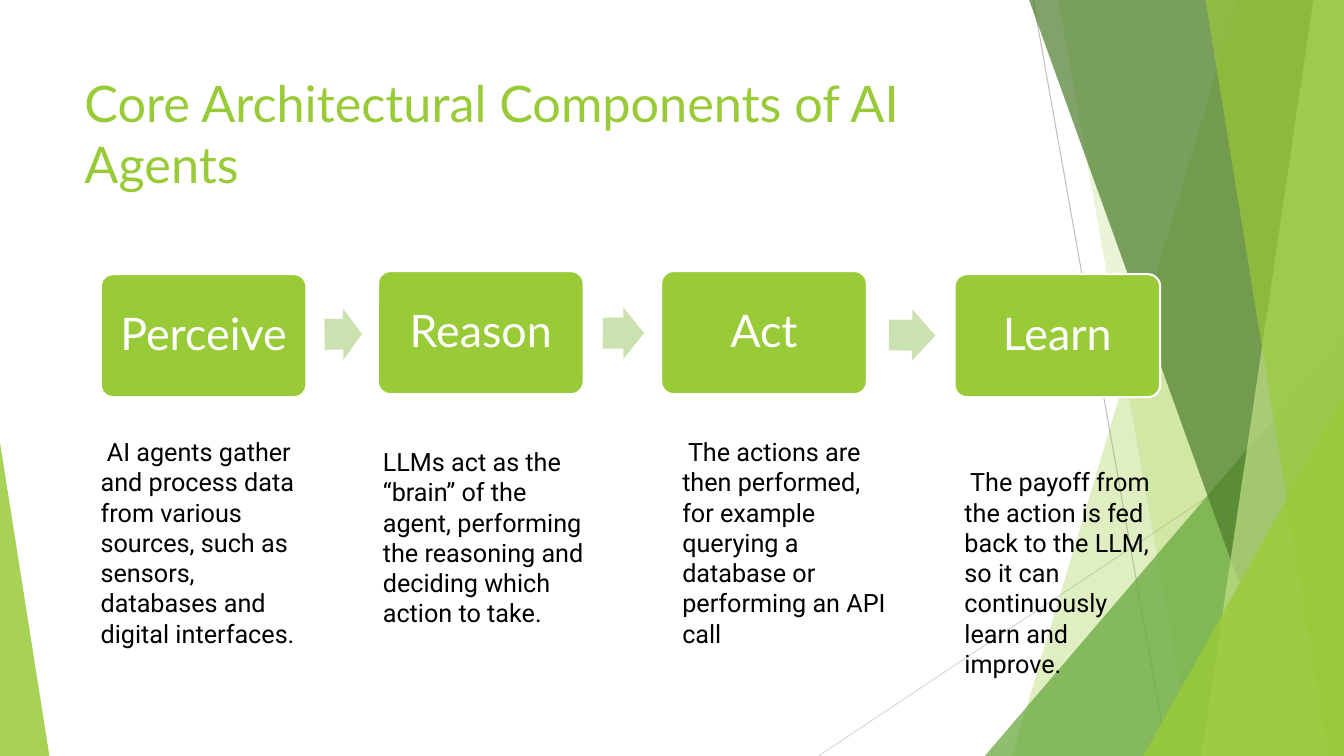
from lxml import etree
from pptx import Presentation
from pptx.dml.color import RGBColor
from pptx.enum.shapes import MSO_CONNECTOR, MSO_SHAPE
from pptx.enum.text import MSO_ANCHOR, PP_ALIGN
from pptx.oxml.ns import qn
from pptx.util import Inches, Pt

STRAIGHT = MSO_CONNECTOR.STRAIGHT
TRIANGLE, ARROW, ROUNDED = MSO_SHAPE.ISOSCELES_TRIANGLE, MSO_SHAPE.RIGHT_ARROW, MSO_SHAPE.ROUNDED_RECTANGLE
MIDDLE, TOP = MSO_ANCHOR.MIDDLE, MSO_ANCHOR.TOP
CENTER, LEFT = PP_ALIGN.CENTER, PP_ALIGN.LEFT

COLS, ROWS = 160, 90  # square cells, 12 to the inch
LIME, GREEN, FOREST, PALE, MINT = "99CB38", "63A537", "4A7C29", "C2E088", "CAE2AF"
WHITE, BLACK = "FFFFFF", "000000"


def rgb(color):
    return RGBColor.from_string(color)


def cells(*counts):
    """Turn grid counts into lengths."""
    return [Inches(n / 12) for n in counts]


class Page:
    heading_font, body_font = "Lato", "Roboto"

    def __init__(self, prs):
        self.s = prs.slides.add_slide(prs.slide_layouts[6])

    def paint(self, sp, color, alpha=100, line=None):
        sp.shadow.inherit = False
        sp.fill.solid()
        sp.fill.fore_color.rgb = rgb(color)
        if alpha < 100:
            clr = sp._element.spPr.find(qn("a:solidFill"))[0]
            etree.SubElement(clr, qn("a:alpha")).set("val", str(alpha * 1000))
        if line:
            sp.line.color.rgb = rgb(line)
            sp.line.width = Pt(1.5)
        else:
            sp.line.fill.background()

    def hairline(self, x1, y1, x2, y2, color):
        cn = self.s.shapes.add_connector(STRAIGHT, *cells(x1, y1, x2, y2))
        cn.line.color.rgb = rgb(color)
        cn.line.width = Pt(0.75)
        etree.SubElement(cn._element.spPr, qn("a:effectLst"))

    def band(self, top, bottom, color, alpha):
        """Full-height band from a slanted left edge to the slide's right edge."""
        start, *rest = [tuple(cells(*pt)) for pt in
                        [(top, 0), (COLS, 0), (COLS, ROWS), (bottom, ROWS)]]
        fb = self.s.shapes.build_freeform(*start, scale=1.0)
        fb.add_line_segments(rest, close=True)
        self.paint(fb.convert_to_shape(), color, alpha)

    def shape(self, kind, x, y, w, h, color, adjust, alpha=100, line=None):
        sp = self.s.shapes.add_shape(kind, *cells(x, y, w, h))
        for i, value in enumerate(adjust):
            sp.adjustments[i] = value
        self.paint(sp, color, alpha, line)
        return sp

    def add_run(self, sp, text, size, font, color, anchor=TOP, align=LEFT):
        tf = sp.text_frame
        tf.word_wrap = True
        tf.vertical_anchor = anchor
        p = tf.paragraphs[0]
        p.alignment = align
        r = p.add_run()
        r.text = text
        r.font.size, r.font.name = Pt(size), font
        r.font.color.rgb = rgb(color)

    def text(self, x, y, w, h, text, size, font, color):
        sp = self.s.shapes.add_textbox(*cells(x, y, w, h))
        self.add_run(sp, text, size, font, color)

    def card(self, x, y, label):
        sp = self.shape(ROUNDED, x, y, 24.48, 14.64, LIME, [0.1], line=WHITE)
        tf = sp.text_frame
        tf.margin_left = tf.margin_right = tf.margin_top = tf.margin_bottom = Inches(0.13)
        self.add_run(sp, label, 32, self.heading_font, WHITE, MIDDLE, CENTER)
        tf.paragraphs[0].line_spacing = 0.9

    def arrow(self, x, y, w, turn):
        sp = self.shape(ARROW, x, y, w, 6.12, MINT, [0.6, 0.5])
        sp.rotation = turn


def draw_backdrop(page):
    page.hairline(123, 0, 139, ROWS, "BFBFBF")
    page.hairline(COLS, 48.36, 97.44, ROWS, "D9D9D9")
    page.band(147.36, 120.48, LIME, 30)
    page.band(126, 141.96, LIME, 20)
    page.shape(TRIANGLE, 117.24, 40, 42.76, 50, GREEN, [1], 72)
    page.band(122.52, 154.92, FOREST, 70)
    page.band(156.36, 143.04, PALE, 70)
    page.band(143.52, 158.16, LIME, 65)
    page.shape(TRIANGLE, 136.1, 47.16, 23.9, 42.84, LIME, [1], 80)
    page.shape(TRIANGLE, 0, 52.68, 5.88, 37.32, LIME, [0], 85)


# label, card (x, y), arrow to the next card (x, y, width, turn), note (x, y, height), note text
STEPS = [
    ("Perceive", (12, 32.64), (38.64, 36.72, 4.44, 359.3), (10.8, 51.36, 26.64),
     " AI agents gather and process data from various sources, such as sensors, "
     "databases and digital interfaces."),
    ("Reason", (45, 32.28), (71.76, 36.6, 4.92, 0.1), (44.4, 52.56, 23.04),
     "LLMs act as the “brain” of the agent, performing the reasoning and "
     "deciding which action to take."),
    ("Act", (78.72, 32.28), (105.84, 36.84, 5.52, 0.5), (80.04, 51.36, 26.64),
     " The actions are then performed, for example querying a database or "
     "performing an API call"),
    ("Learn", (113.64, 32.64), None, (113.64, 54.96, 26.64),
     " The payoff from the action is fed back to the LLM, so it can "
     "continuously learn and improve."),
]


def main():
    prs = Presentation()
    prs.slide_width, prs.slide_height = cells(COLS, ROWS)
    page = Page(prs)
    draw_backdrop(page)
    page.text(8.88, 8.04, 112.8, 17.28, "Core Architectural Components of AI Agents",
              36, page.heading_font, LIME)
    for label, card, arrow, (x, y, h), note in STEPS:
        page.card(*card, label)
        if arrow:
            page.arrow(*arrow)
        page.text(x, y, 26.64, h, note, 18, page.body_font, BLACK)
    prs.save("out.pptx")


if __name__ == "__main__":
    main()
